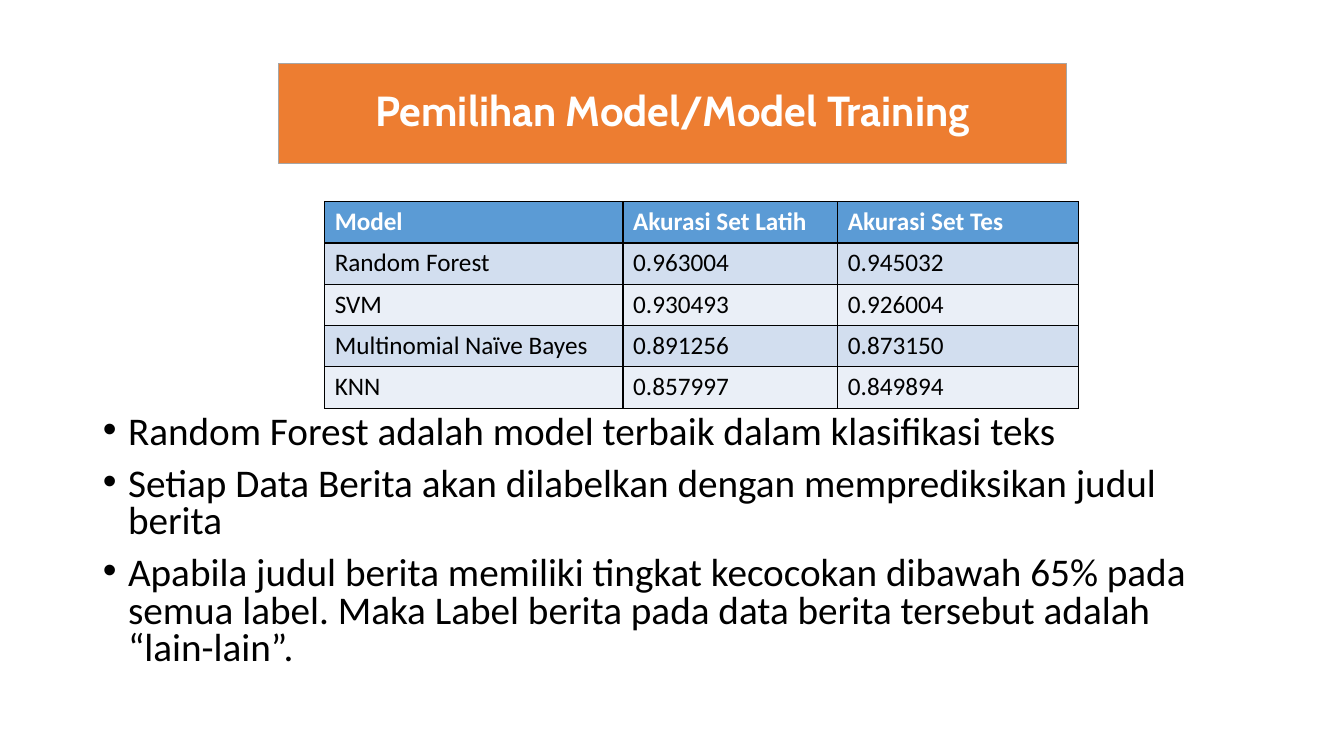
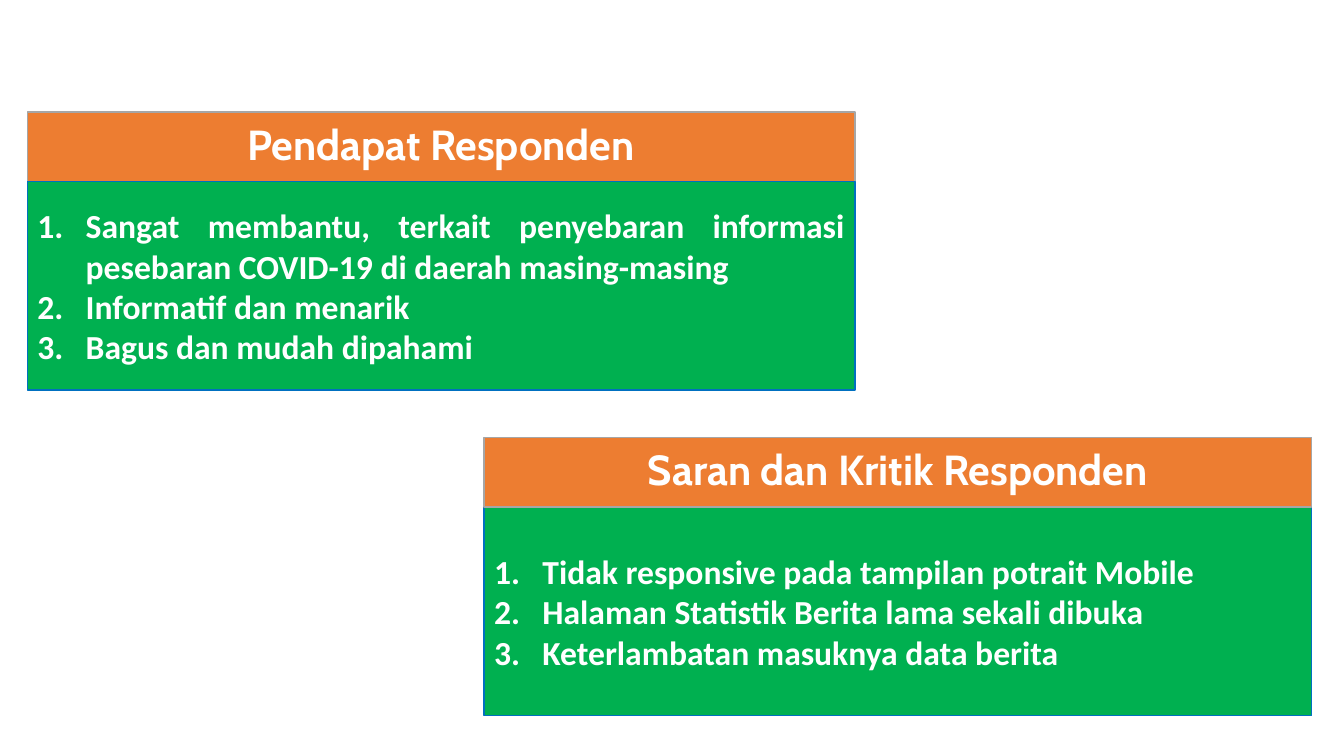
import pptx
import pptx.util
import pptx.dml.color
import pptx.enum.shapes
import pptx.enum.text
import pptx.oxml.ns
from lxml import etree

Inches = pptx.util.Inches
Pt = pptx.util.Pt
RGBColor = pptx.dml.color.RGBColor
Align = pptx.enum.text.PP_ALIGN
Anchor = pptx.enum.text.MSO_ANCHOR
qn = pptx.oxml.ns.qn

# Shared colours and fonts
WHITE = RGBColor(0xFF, 0xFF, 0xFF)
BLACK = RGBColor(0x00, 0x00, 0x00)
ORANGE = RGBColor(0xED, 0x7D, 0x31)
GREY = RGBColor(0xA6, 0xA6, 0xA6)
GREEN = RGBColor(0x00, 0xB0, 0x50)
EDGE = RGBColor(0x00, 0x70, 0xC0)
HEAD = RGBColor(0x5B, 0x9B, 0xD5)
BANDS = (RGBColor(0xD2, 0xDE, 0xEF), RGBColor(0xEA, 0xEF, 0xF7))
TITLE_FONT = "Cabin"
BODY_FONT = "Calibri"

# Answer cards on the second slide
CARD_WIDTH = 8.21
BAR_HEIGHT = 0.69
LIST_HEIGHT = 2.07

# Model scores
SCORES = (
    ("Model", "Akurasi Set Latih", "Akurasi Set Tes"),
    ("Random Forest", "0.963004", "0.945032"),
    ("SVM", "0.930493", "0.926004"),
    ("Multinomial Naïve Bayes", "0.891256", "0.873150"),
    ("KNN", "0.857997", "0.849894"),
)
COLS = (2.96, 2.13, 2.39)
ROW_HEIGHT = 0.41

NOTES = (
    "Random Forest adalah model terbaik dalam klasifikasi teks",
    "Setiap Data Berita akan dilabelkan dengan memprediksikan judul berita",
    "Apabila judul berita memiliki tingkat kecocokan dibawah 65% pada semua "
    "label. Maka Label berita pada data berita tersebut adalah “lain-lain”.",
)
VIEWS = (
    "Sangat membantu, terkait penyebaran informasi pesebaran COVID-19 "
    "di daerah masing-masing",
    "Informatif dan menarik",
    "Bagus dan mudah dipahami",
)
ADVICE = (
    "Tidak responsive pada tampilan potrait Mobile",
    "Halaman Statistik Berita lama sekali dibuka",
    "Keterlambatan masuknya data berita",
)


def place(shape, left, top, width, height):
    shape.left, shape.top = Inches(left), Inches(top)
    shape.width, shape.height = Inches(width), Inches(height)


def paint(shape, fill, line):
    shape.fill.solid()
    shape.fill.fore_color.rgb = fill
    shape.line.color.rgb = line
    shape.line.width = Pt(1)


def style(para, name, size, color, bold):
    for run in para.runs:
        font = run.font
        font.name, font.size, font.bold = name, Pt(size), bold
        font.color.rgb = color


def set_bar(shape, text, box):
    """Orange heading bar."""
    place(shape, *box)
    paint(shape, ORANGE, GREY)
    frame = shape.text_frame
    frame.text = text
    frame.word_wrap = True
    frame.auto_size = pptx.enum.text.MSO_AUTO_SIZE.NONE
    frame.vertical_anchor = Anchor.MIDDLE
    para = frame.paragraphs[0]
    para.alignment = Align.CENTER
    para.line_spacing = 0.9
    style(para, TITLE_FONT, 30, WHITE, True)


def add_mark(para, indent, tag, font, **attrs):
    """Hanging bullet or number."""
    props = para._p.get_or_add_pPr()
    props.set("marL", str(Inches(indent)))
    props.set("indent", str(-Inches(indent)))
    etree.SubElement(props, qn("a:buFont"), typeface=font)
    etree.SubElement(props, qn(tag), **attrs)


def fill_list(shape, items, box, anchor):
    place(shape, *box)
    frame = shape.text_frame
    frame.text = "\n".join(items)
    frame.word_wrap = True
    frame.auto_size = pptx.enum.text.MSO_AUTO_SIZE.NONE
    frame.vertical_anchor = anchor
    return frame.paragraphs


def set_notes(shape, items, box):
    """Plain bulleted list."""
    for para in fill_list(shape, items, box, Anchor.TOP):
        para.line_spacing = 0.8
        para.space_before = Pt(10)
        add_mark(para, 0.25, "a:buChar", "Arial", char="•")
        style(para, BODY_FONT, 28, BLACK, False)


def set_card(bar, body, title, items, left, top):
    """Heading bar above a green numbered list."""
    set_bar(bar, title, (left, top, CARD_WIDTH, BAR_HEIGHT))
    box = (left, top + BAR_HEIGHT, CARD_WIDTH, LIST_HEIGHT)
    for para in fill_list(body, items, box, Anchor.MIDDLE):
        para.alignment = Align.JUSTIFY
        para.line_spacing = 1.0
        para.space_before = Pt(0)
        add_mark(para, 0.48, "a:buAutoNum", BODY_FONT, type="arabicPeriod")
        style(para, BODY_FONT, 24, WHITE, True)
    paint(body, GREEN, EDGE)


def set_cell(cell, text, fill, color, bold):
    cell.text = text
    style(cell.text_frame.paragraphs[0], BODY_FONT, 18, color, bold)
    props = cell._tc.get_or_add_tcPr()
    for side in ("a:lnL", "a:lnR", "a:lnT", "a:lnB"):
        line = etree.SubElement(props, qn(side), w=str(Pt(1)))
        solid = etree.SubElement(line, qn("a:solidFill"))
        etree.SubElement(solid, qn("a:srgbClr"), val=str(BLACK))
    cell.fill.solid()
    cell.fill.fore_color.rgb = fill


def add_scores(slide, left, top):
    height = ROW_HEIGHT * len(SCORES)
    table = slide.shapes.add_table(
        len(SCORES), len(COLS), Inches(left), Inches(top),
        Inches(sum(COLS)), Inches(height)).table
    for col, width in zip(table.columns, COLS):
        col.width = Inches(width)
    for i, row in enumerate(SCORES):
        table.rows[i].height = Inches(ROW_HEIGHT)
        first = i == 0
        fill = HEAD if first else BANDS[(i - 1) % 2]
        for j, text in enumerate(row):
            set_cell(table.cell(i, j), text, fill,
                     WHITE if first else BLACK, first)


def add_models(deck):
    slide = deck.slides.add_slide(deck.slide_layouts[1])
    title, body = slide.placeholders
    set_bar(title, "Pemilihan Model/Model Training", (2.76, 0.63, 7.82, 0.99))
    set_notes(body, NOTES, (0.92, 4.07, 11.5, 2.69))
    add_scores(slide, 3.22, 2)


def add_replies(deck):
    slide = deck.slides.add_slide(deck.slide_layouts[3])
    title, views, advice = slide.placeholders
    bar = slide.shapes.add_shape(
        pptx.enum.shapes.MSO_SHAPE.RECTANGLE, 0, 0, 0, 0)
    bar.shadow.inherit = False
    set_card(title, views, "Pendapat Responden", VIEWS, 0.27, 1.11)
    set_card(bar, advice, "Saran dan Kritik Responden", ADVICE, 4.8, 4.34)


def main():
    deck = pptx.Presentation()
    deck.slide_width, deck.slide_height = Inches(13.33), Inches(7.5)
    add_models(deck)
    add_replies(deck)
    deck.save("out.pptx")


if __name__ == "__main__":
    main()
